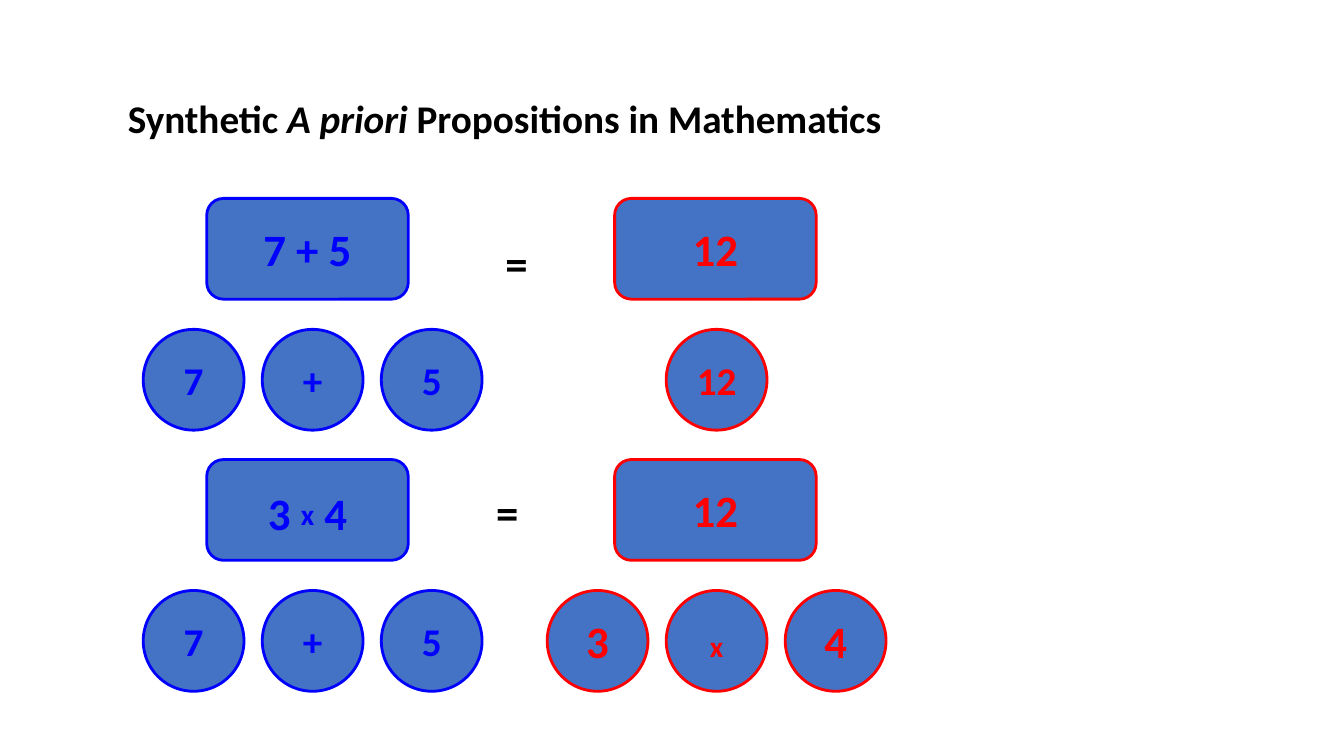
from pptx import Presentation
from pptx.dml.color import RGBColor
from pptx.enum.shapes import MSO_SHAPE
from pptx.enum.text import MSO_ANCHOR, PP_ALIGN
from pptx.util import Cm, Pt

ROUNDED = MSO_SHAPE.ROUNDED_RECTANGLE
CIRCLE = MSO_SHAPE.OVAL
MIDDLE = MSO_ANCHOR.MIDDLE
CENTER = PP_ALIGN.CENTER

BLUE, RED, BLACK, PANEL = "0000FF", "FF0000", "000000", "4472C4"
SIDE = 2.54
CIRCLE_PITCH = 3.0
CIRCLE_DROP = 3.3
EQUATION_TOPS = (5.0, 11.58)
LEFT_BOX, RIGHT_BOX = 5.21, 15.49
LEFT_CIRCLES, RIGHT_CIRCLES = 3.61, 13.79


def paint(color_format, color):
    """Give a font colour or a fill foreground its hex colour."""
    color_format.rgb = RGBColor.from_string(color)


def write(frame, pieces, size, color):
    """Write centred bold runs and return them."""
    paragraph = frame.paragraphs[0]
    paragraph.alignment = CENTER
    paragraph.font.name = "Calibri"
    paragraph.font.size = Pt(size)
    paragraph.font.bold = True
    paint(paragraph.font.color, color)
    runs = []
    for piece in pieces:
        run = paragraph.add_run()
        run.text = piece
        runs.append(run)
    return runs


def raise_sign(run, percent):
    """Turn a run into a raised multiplication sign."""
    run.font.size = Pt(36)
    run._r.get_or_add_rPr().set("baseline", str(percent * 1000))


def add_term(slide, kind, left, top, width, pieces, size, color):
    """Add an outlined shape holding one term and return its runs."""
    term = slide.shapes.add_shape(kind, Cm(left), Cm(top), Cm(width), Cm(SIDE))
    term.shadow.inherit = False
    term.fill.solid()
    paint(term.fill.fore_color, PANEL)
    paint(term.line.color, color)
    term.line.width = Pt(2)
    frame = term.text_frame
    frame.word_wrap = False
    frame.vertical_anchor = MIDDLE
    return write(frame, pieces, size, color)


def add_box(slide, left, top, pieces, color):
    """Add one side of an equation."""
    return add_term(slide, ROUNDED, left, top, 2 * SIDE, pieces, 32, color)


def add_circle(slide, start, column, top, symbol, size, color):
    """Add a circled symbol in one column of a group of three."""
    left = start + column * CIRCLE_PITCH
    return add_term(slide, CIRCLE, left, top, SIDE, [symbol], size, color)


def add_label(slide, left, top, width, height, pieces, size):
    """Add a black text box and return its frame and runs."""
    label = slide.shapes.add_textbox(Cm(left), Cm(top), Cm(width), Cm(height))
    frame = label.text_frame
    frame.word_wrap = True
    return frame, write(frame, pieces, size, BLACK)


def add_title(slide):
    """Add the heading in the lower part of its box."""
    words = ["Synthetic ", "A priori ", "Propositions in Mathematics"]
    frame, runs = add_label(slide, 0.28, 0.76, 24.87, 3.18, words, 28)
    frame.vertical_anchor = MIDDLE
    frame.margin_top = Cm(1.35)
    runs[1].font.italic = True


def main():
    """Build the slide and save it."""
    deck = Presentation()
    deck.slide_width, deck.slide_height = Cm(33.87), Cm(19.05)
    slide = deck.slides.add_slide(deck.slide_layouts[6])
    add_title(slide)

    sum_top, product_top = EQUATION_TOPS
    add_box(slide, LEFT_BOX, sum_top, ["7 + 5"], BLUE)
    product = add_box(slide, LEFT_BOX, product_top, ["3 ", "x", " 4"], BLUE)
    raise_sign(product[1], 10)
    for top in EQUATION_TOPS:
        add_box(slide, RIGHT_BOX, top, ["12"], RED)
        for column, symbol in enumerate("7+5"):
            add_circle(slide, LEFT_CIRCLES, column, top + CIRCLE_DROP, symbol, 28, BLUE)

    add_circle(slide, RIGHT_CIRCLES, 1, sum_top + CIRCLE_DROP, "12", 28, RED)
    for column, symbol in enumerate("3x4"):
        runs = add_circle(slide, RIGHT_CIRCLES, column, product_top + CIRCLE_DROP, symbol, 32, RED)
        if symbol == "x":
            raise_sign(runs[0], 6)

    add_label(slide, 12.24, 5.82, 1.55, 1.63, ["="], 32)
    add_label(slide, 12.24, 12.09, 1.09, 1.63, ["="], 32)
    deck.save("out.pptx")


main()
